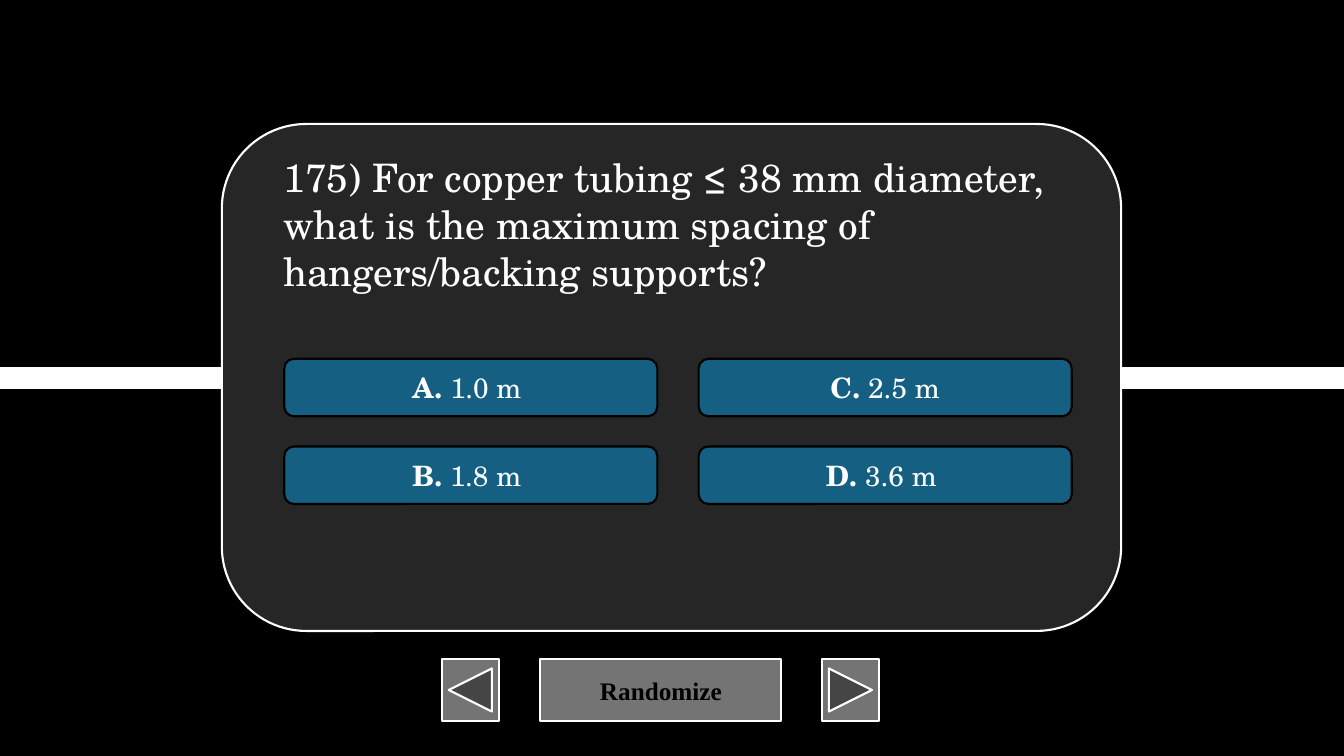
"""Build a quiz slide with one question, four answers and navigation buttons."""
from lxml import etree
from pptx import Presentation
from pptx.dml.color import RGBColor
from pptx.enum.shapes import MSO_CONNECTOR, MSO_SHAPE
from pptx.enum.text import MSO_ANCHOR, MSO_AUTO_SIZE, PP_ALIGN
from pptx.oxml.ns import qn
from pptx.util import Inches, Pt

ROUND = MSO_SHAPE.ROUNDED_RECTANGLE
BLANK = MSO_SHAPE.ACTION_BUTTON_CUSTOM
BACK = MSO_SHAPE.ACTION_BUTTON_BACK_OR_PREVIOUS
NEXT = MSO_SHAPE.ACTION_BUTTON_FORWARD_OR_NEXT
STRAIGHT = MSO_CONNECTOR.STRAIGHT
TOP, MIDDLE = MSO_ANCHOR.TOP, MSO_ANCHOR.MIDDLE
LEFT, CENTER = PP_ALIGN.LEFT, PP_ALIGN.CENTER
FIXED = MSO_AUTO_SIZE.NONE

SERIF = "TeX Gyre Schola"
THEME = {
    "black": RGBColor.from_string("000000"),
    "white": RGBColor.from_string("FFFFFF"),
    "card": RGBColor.from_string("262626"),
    "button": RGBColor.from_string("747474"),
    "answer": RGBColor.from_string("156082"),
    "edge": Pt(1.5),
    "band": Pt(16),
    "title": {"name": SERIF, "size": Pt(28), "bold": False},
    "label": {"name": SERIF, "size": Pt(20)},
    "action": {"name": "Times New Roman", "size": Pt(18), "bold": True},
}


def add_box(kind, place, fill, edge="white"):
    box = slide.shapes.add_shape(kind, *map(Inches, place))
    box.shadow.inherit = False
    box.fill.solid()
    box.fill.fore_color.rgb = THEME[fill]
    box.line.color.rgb = THEME[edge]
    box.line.width = THEME["edge"]
    return box


def add_text(shape, runs, style, color, align=CENTER, anchor=MIDDLE):
    frame = shape.text_frame
    layout = {"word_wrap": True, "auto_size": FIXED, "vertical_anchor": anchor}
    for key, value in layout.items():
        setattr(frame, key, value)
    line = frame.paragraphs[0]
    line.alignment = align
    for text, extra in runs:
        run = line.add_run()
        run.text = text
        run.font.color.rgb = THEME[color]
        for key, value in {**THEME[style], **extra}.items():
            setattr(run.font, key, value)


deck = Presentation()
deck.slide_width, deck.slide_height = Inches(13.33), Inches(7.5)
slide = deck.slides.add_slide(deck.slide_layouts[5])
slide.background.fill.solid()
slide.background.fill.fore_color.rgb = THEME["black"]

band = slide.shapes.add_connector(
    STRAIGHT, 0, Inches(3.75), deck.slide_width, Inches(3.75))
band.line.color.rgb = THEME["white"]
band.line.width = THEME["band"]
etree.SubElement(band.element.spPr, qn("a:effectLst"))

shuffle = add_box(BLANK, (5.36, 6.54, 2.39, 0.61), "button")
add_text(shuffle, [("Randomize", {})], "action", "black")
for kind, left in ((BACK, 4.38), (NEXT, 8.15)):
    add_box(kind, (left, 6.54, 0.57, 0.61), "button")

card = add_box(ROUND, (2.2, 1.23, 8.92, 5.03), "card")

answers = (("A. ", "1.0 m "), ("B. ", "1.8 m "), ("C. ", "2.5 m"), ("D. ", "3.6 m "))
for index, (letter, value) in enumerate(answers):
    col, row = divmod(index, 2)
    place = (2.82 + col * 4.11, 3.56 + row * 0.87, 3.7, 0.57)
    answer = add_box(ROUND, place, "answer", "black")
    runs = [(letter, {"bold": True}), (value, {"bold": False})]
    add_text(answer, runs, "label", "white")

title = slide.shapes.title
spots = {"left": 2.71, "top": 1.47, "width": 7.92, "height": 1.51}
for key, value in spots.items():
    setattr(title, key, Inches(value))
question = ("175) For copper tubing ≤ 38 mm diameter, "
            "what is the maximum spacing of hangers/backing supports?")
add_text(title, [(question, {})], "title", "white", LEFT, TOP)
card.element.addnext(title.element)

deck.save("out.pptx")
